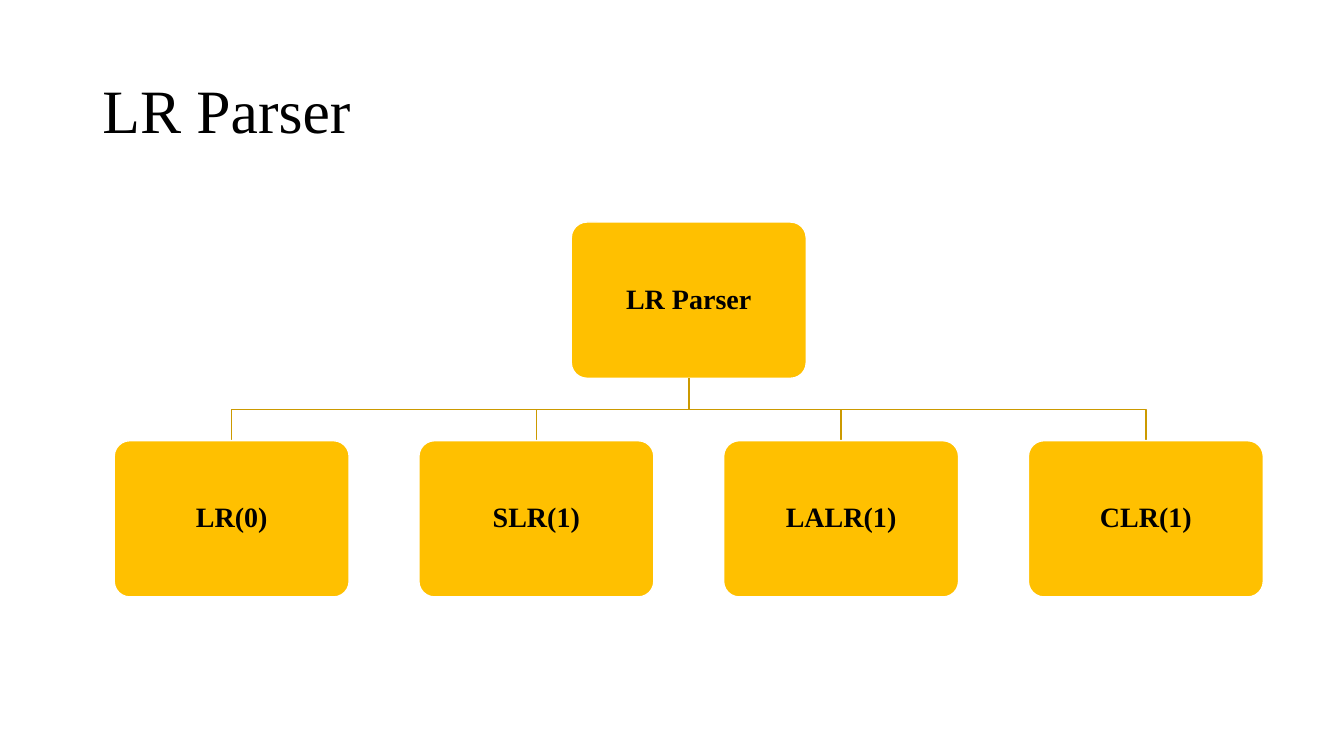
from dataclasses import dataclass

from pptx import Presentation
from pptx.dml.color import RGBColor
from pptx.enum import shapes, text
from pptx.util import Pt


@dataclass(frozen=True)
class Theme:
    font: str = "Times New Roman"
    ink: RGBColor = RGBColor(0, 0, 0)
    gold: RGBColor = RGBColor(0xFF, 0xC0, 0)
    line: RGBColor = RGBColor(0xCC, 0x9A, 0)
    edge: RGBColor = RGBColor(0xFF, 0xFF, 0xFF)
    head: int = 44
    label: int = 20


THEME = Theme()


def write(shape, words, size, bold=False, align=text.PP_ALIGN.LEFT, inset=(7.2, 3.6)):
    """Fill a shape with one formatted, vertically centred paragraph."""
    frame = shape.text_frame
    frame.word_wrap = True
    frame.auto_size = text.MSO_AUTO_SIZE.NONE
    frame.vertical_anchor = text.MSO_ANCHOR.MIDDLE
    frame.margin_left = frame.margin_right = Pt(inset[0])
    frame.margin_top = frame.margin_bottom = Pt(inset[1])
    frame.text = words
    para = frame.paragraphs[0]
    para.alignment = align
    para.line_spacing = 0.9
    font = para.font
    font.name, font.size, font.bold = THEME.font, Pt(size), bold
    font.color.rgb = THEME.ink


def add_title(slide, words, left, top, width, height):
    title = slide.shapes.title
    title.left, title.top = Pt(left), Pt(top)
    title.width, title.height = Pt(width), Pt(height)
    write(title, words, THEME.head)


def add_node(slide, words, left, top, width, height):
    node = slide.shapes.add_shape(
        shapes.MSO_SHAPE.ROUNDED_RECTANGLE, Pt(left), Pt(top), Pt(width), Pt(height))
    node.adjustments[0] = 0.1
    node.shadow.inherit = False
    node.fill.solid()
    node.fill.fore_color.rgb = THEME.gold
    node.line.color.rgb = THEME.edge
    node.line.width = Pt(1)
    write(node, words, THEME.label, bold=True, align=text.PP_ALIGN.CENTER, inset=(9, 9))


def add_branch(slide, x1, y1, x2, y2):
    """Draw a stepped line that turns halfway down."""
    mid = (y1 + y2) / 2
    pen = slide.shapes.build_freeform(Pt(x1), Pt(y1))
    pen.add_line_segments(
        [(Pt(x), Pt(y)) for x, y in ((x1, mid), (x2, mid), (x2, y2))], close=False)
    branch = pen.convert_to_shape()
    branch.shadow.inherit = False
    branch.fill.background()
    branch.line.color.rgb = THEME.line
    branch.line.width = Pt(1)


def add_tree(slide, root, kids, left, top, width, height):
    """Place the root above an evenly spaced row of children."""
    wide, high = 167.8, 111.6
    step = (width - wide) / (len(kids) - 1)
    mid = left + width / 2
    low = top + height - high
    add_node(slide, root, mid - wide / 2, top, wide, high)
    for i, kid in enumerate(kids):
        x = left + i * step
        add_branch(slide, mid, top + high, x + wide / 2, low)
        add_node(slide, kid, x, low, wide, high)


def main():
    deck = Presentation()
    deck.slide_width, deck.slide_height = Pt(960), Pt(540)
    slide = deck.slides.add_slide(deck.slide_layouts[5])
    # Title
    add_title(slide, "LR Parser", 66, 28.75, 828, 104.4)
    # Parser family
    add_tree(slide, "LR Parser", ["LR(0)", "SLR(1)", "LALR(1)", "CLR(1)"],
             81.6, 158.6, 820.8, 267.8)
    deck.save("out.pptx")


if __name__ == "__main__":
    main()
